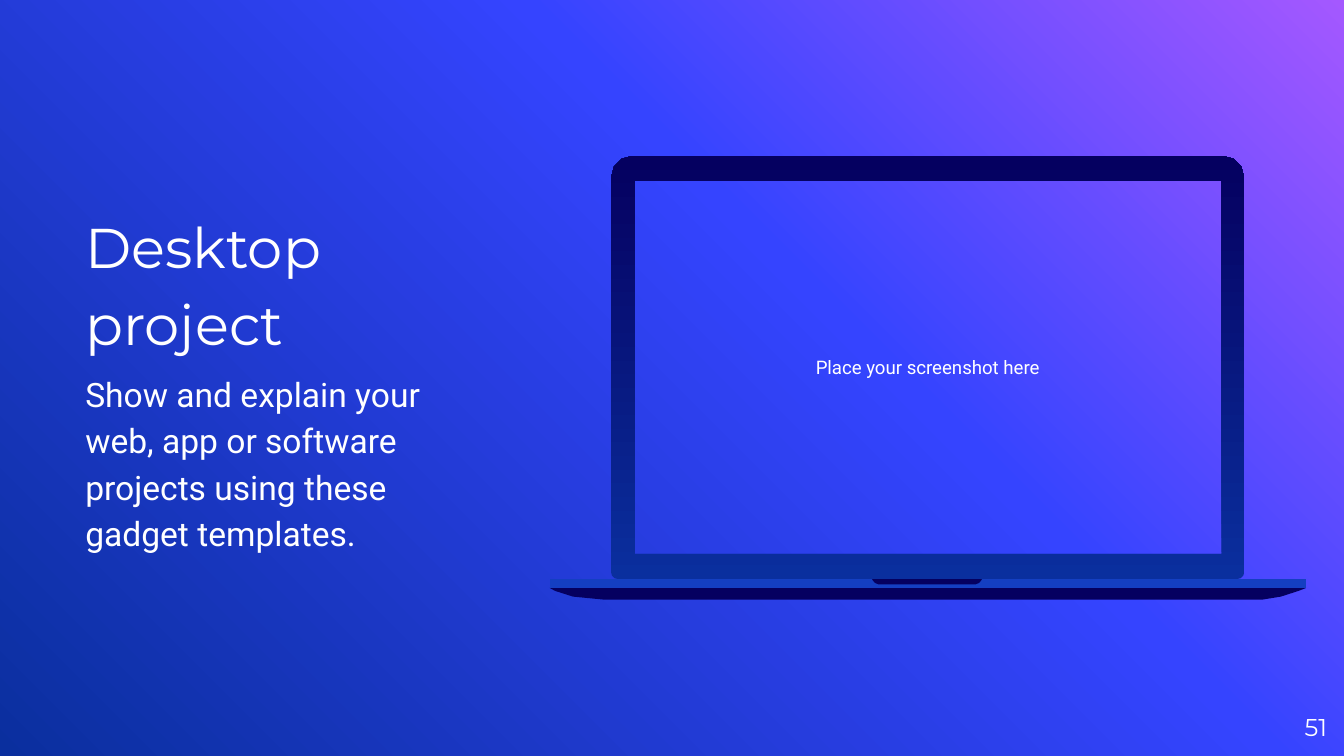
from copy import deepcopy
from dataclasses import dataclass

from pptx import Presentation
from pptx.dml.color import RGBColor
from pptx.enum import text
from pptx.oxml import ns
from pptx.util import Pt


@dataclass(frozen=True)
class Theme:
    white: str = "FFFFFF"
    violet: str = "A458FF"
    blue: str = "3544FF"
    navy: str = "0A2F9E"
    ink: str = "050060"
    edge: str = "143FC2"
    heading_font: str = "Montserrat"
    body_font: str = "Roboto"
    heading_size: float = 30
    body_size: float = 18
    number_size: float = 13
    caption_size: float = 10


THEME = Theme()
CURVE_STEPS = 3


def place(box, left, top, width, height):
    box.left, box.top, box.width, box.height = map(Pt, (left, top, width, height))


def set_frame(frame, inset):
    frame.word_wrap = True
    frame.auto_size = text.MSO_AUTO_SIZE.NONE
    frame.vertical_anchor = text.MSO_ANCHOR.MIDDLE
    frame.margin_left = frame.margin_right = Pt(inset)
    frame.margin_top = frame.margin_bottom = Pt(inset)


def style_runs(para, font, size):
    for span in para.runs:
        span.font.name = font
        span.font.size = Pt(size)
        span.font.color.rgb = RGBColor.from_string(THEME.white)


def add_label(page, wording, bounds, font, size, align, inset=0):
    box = page.shapes.add_textbox(*map(Pt, bounds))
    set_frame(box.text_frame, inset)
    para = box.text_frame.paragraphs[0]
    para.text = wording
    para.alignment = align
    style_runs(para, font, size)


def fill_gradient(fill, element, stops, angle):
    """Fill with (position, colour) stops; angle runs counter-clockwise."""
    fill.gradient()
    stop_list = element.find(".//" + ns.qn("a:gsLst"))
    while len(stop_list) < len(stops):
        stop_list.append(deepcopy(stop_list[-1]))
    for stop, (position, colour) in zip(fill.gradient_stops, stops):
        stop.position = position
        stop.color.rgb = RGBColor.from_string(colour)
    fill.gradient_angle = angle


def bezier(start, first, second, end):
    """Points along a cubic curve, without its start."""
    for step in range(1, CURVE_STEPS + 1):
        t = step / CURVE_STEPS
        weights = ((1 - t) ** 3, 3 * t * (1 - t) ** 2, 3 * t * t * (1 - t), t ** 3)
        yield tuple(sum(w * p[axis] for w, p in zip(weights, (start, first, second, end)))
                    for axis in (0, 1))


def trace(*steps):
    """Turn points and (control, control, end) curves into one contour."""
    points = [steps[0]]
    for step in steps[1:]:
        points.extend(bezier(points[-1], *step) if len(step) == 3 else [step])
    return [(Pt(x), Pt(y)) for x, y in points]


def add_outline(group, *contours):
    first, *rest = contours
    builder = group.shapes.build_freeform(*first[0])
    builder.add_line_segments(first[1:], close=True)
    for contour in rest:
        builder.move_to(*contour[0])
        builder.add_line_segments(contour[1:], close=True)
    shape = builder.convert_to_shape()
    shape.shadow.inherit = False
    shape.line.fill.background()
    return shape


def fill_solid(shape, colour):
    shape.fill.solid()
    shape.fill.fore_color.rgb = RGBColor.from_string(colour)


def add_laptop(page):
    group = page.shapes.add_group_shape()

    # Lid with rounded corners and an open screen
    left, top, right, bottom = 327.4, 83.5, 666.5, 310.2
    big, small = 11.5, 3.5
    bend = big * 0.45
    tuck = small * 0.45
    rim = trace(
        (right - big, top), (left + big, top),
        ((left + bend, top), (left, top + bend), (left, top + big)),
        (left, bottom - small),
        ((left, bottom - tuck), (left + tuck, bottom), (left + small, bottom)),
        (right - small, bottom),
        ((right - tuck, bottom), (right, bottom - tuck), (right, bottom - small)),
        (right, top + big),
        ((right, top + bend), (right - bend, top), (right - big, top)))
    screen = trace((654.4, 296.8), (340.1, 296.8), (340.1, 96.8), (654.4, 96.8))
    lid = add_outline(group, rim, screen)
    fill_gradient(lid.fill, lid.element, [(0, THEME.navy), (1, THEME.ink)], 90)

    # Underside, front edge and notch
    start, end, seam = 294.5, 699.7, 315
    underside = add_outline(group, trace(
        (start, seam), ((start, seam), (303, 321.3), (324, 321.3)),
        (676, 321.3), ((685, 321.3), (end, seam), (end, seam))))
    fill_solid(underside, THEME.ink)
    edge = add_outline(group, trace(
        (start, seam), (end, seam), (end, bottom), (start, bottom)))
    fill_solid(edge, THEME.edge)
    notch = add_outline(group, trace(
        (467.2, bottom), ((467.2, bottom), (468.4, 313), (470.5, 313)),
        (522.8, 313), ((524.9, 313), (526.1, bottom), (526.1, bottom))))
    fill_solid(notch, THEME.ink)


def write_message(page):
    title = page.shapes.title.element
    title.getparent().remove(title)
    body = page.placeholders[1]
    place(body, 45.7, 61.6, 200, 281.5)
    frame = body.text_frame
    set_frame(frame, 0)
    frame.text = ("Desktop project\nShow and explain your web, app or software "
                  "projects using these gadget templates.")
    styles = ((THEME.heading_font, THEME.heading_size), (THEME.body_font, THEME.body_size))
    for para, (font, size) in zip(frame.paragraphs, styles):
        para.alignment = text.PP_ALIGN.LEFT
        para.line_spacing = 1.15
        para.space_before, para.space_after = Pt(6), Pt(0)
        style_runs(para, font, size)


def main():
    deck = Presentation()
    deck.slide_width, deck.slide_height = Pt(720), Pt(405)
    page = deck.slides.add_slide(deck.slide_layouts.get_by_name("Section Header"))

    # Background
    fill_gradient(page.background.fill, page.element,
                  [(0, THEME.violet), (0.39, THEME.blue), (1, THEME.navy)], 225)

    # Page number and screen caption
    add_label(page, "51", (667.8, 373.9, 43.2, 31), THEME.heading_font,
              THEME.number_size, text.PP_ALIGN.RIGHT)
    add_label(page, "Place your screenshot here", (339.2, 96.1, 315.5, 201),
              THEME.body_font, THEME.caption_size, text.PP_ALIGN.CENTER, inset=7.2)

    # Laptop and message
    add_laptop(page)
    write_message(page)
    deck.save("out.pptx")


if __name__ == "__main__":
    main()
